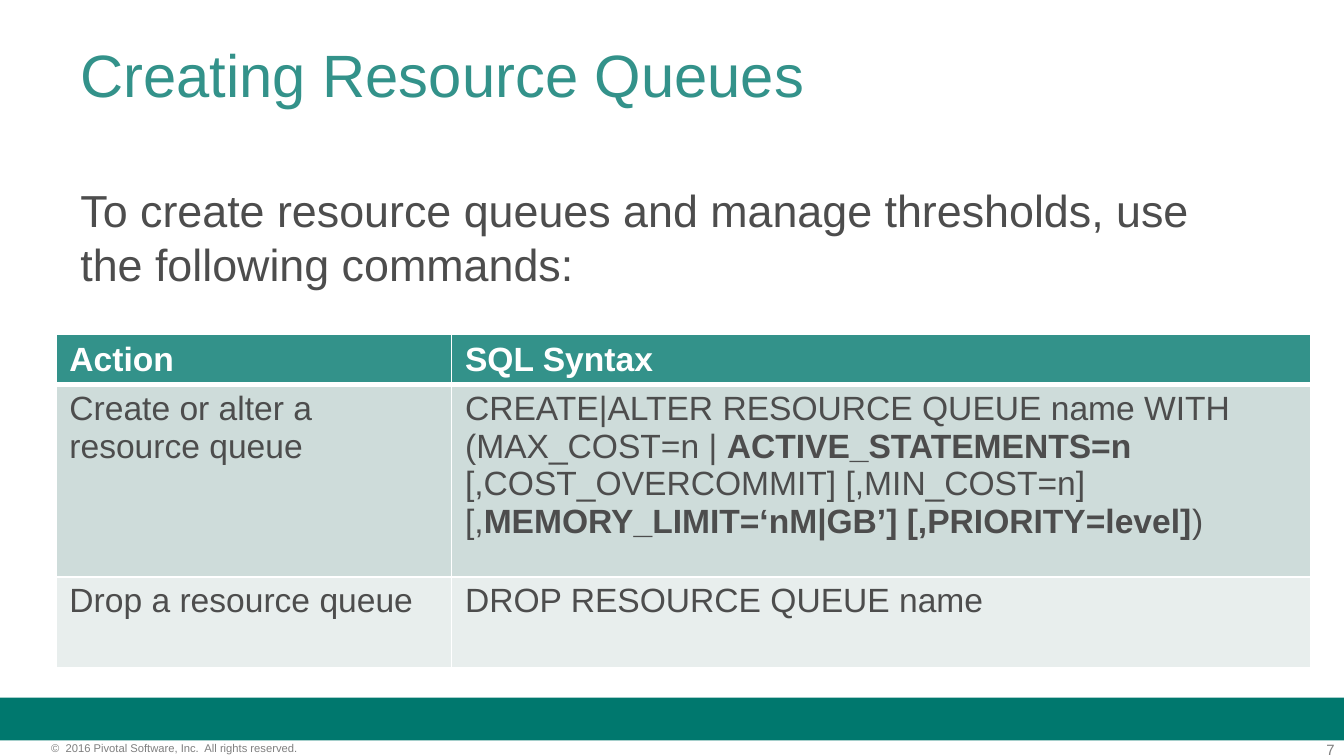
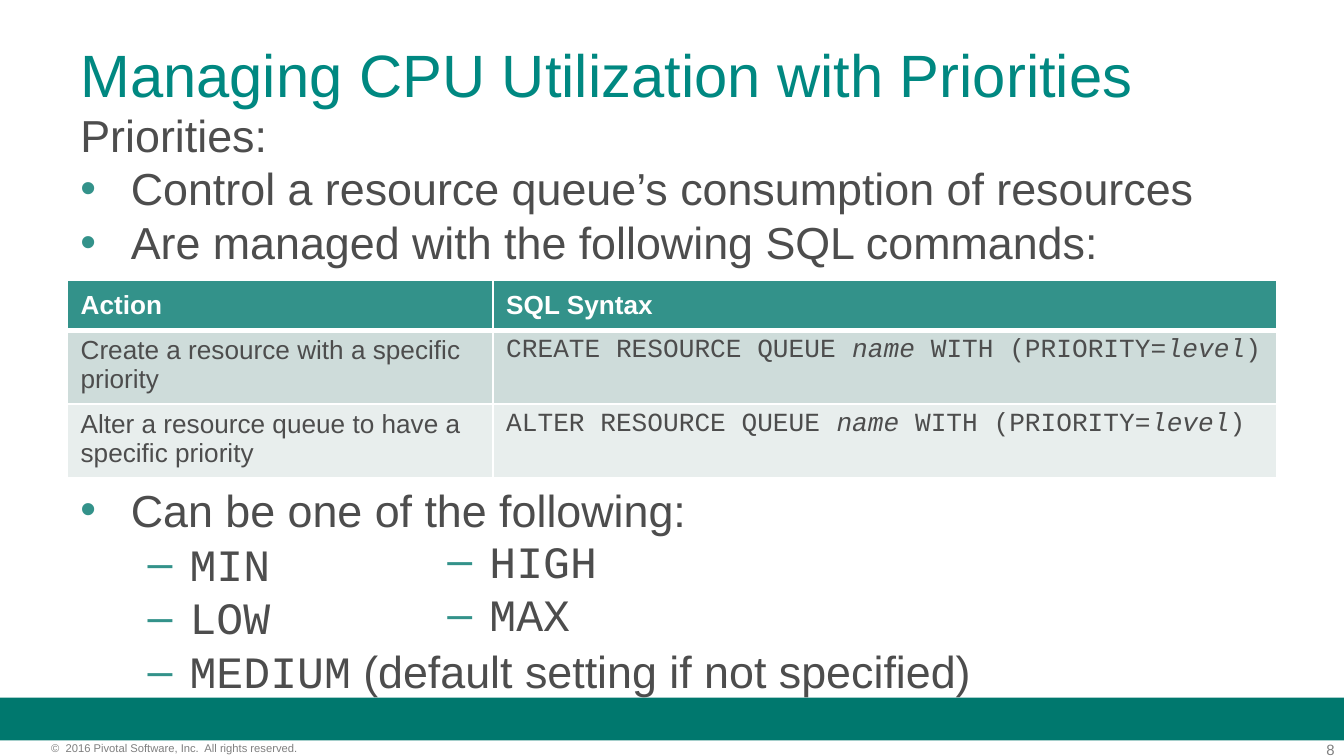
"""Builds two slides on resource queues and their priorities."""
import pptx
import pptx.dml.color
import pptx.enum.shapes
import pptx.enum.text
import pptx.oxml
import pptx.oxml.ns
import pptx.util

Pt = pptx.util.Pt
PP = pptx.enum.text.PP_ALIGN
ANCHOR = pptx.enum.text.MSO_ANCHOR
COLORS = {
    "teal": "33928A", "bright": "008881", "band": "00786E", "text": "4D4D4D",
    "grey": "7F7F7F", "white": "FFFFFF", "row1": "CEDCDA", "row2": "E8EEED",
}
SANS, MONO = "Arial", "Courier New"
BULLET = {"char": "•", "left": 27, "hang": 27}
DASH = {"char": "–", "left": 58.5, "hang": 22.5}


def rgb(name):
    return pptx.dml.color.RGBColor.from_string(COLORS[name])


def add_run(p, text, size=24, font=SANS, color="text", bold=False, italic=False):
    r = p.add_run()
    r.text = text
    f = r.font
    f.size, f.name, f.bold, f.italic = Pt(size), font, bold, italic
    f.color.rgb = rgb(color)


def add_runs(p, content, **fmt):
    parts = [(content, {})] if isinstance(content, str) else content
    for text, extra in parts:
        add_run(p, text, **{**fmt, **extra})


def set_bullet(p, char, left, hang):
    ns = pptx.oxml.ns.nsdecls("a")
    pPr = p._p.get_or_add_pPr()
    pPr.set("marL", str(Pt(left)))
    pPr.set("indent", str(-Pt(hang)))
    for xml in (f'<a:buClr {ns}><a:srgbClr val="{COLORS["teal"]}"/></a:buClr>',
                f'<a:buFont {ns} typeface="{SANS}"/>',
                f'<a:buChar {ns} char="{char}"/>'):
        pPr.append(pptx.oxml.parse_xml(xml))


def set_borders(cell, top=1, bottom=1):
    ns = pptx.oxml.ns.nsdecls("a")
    tcPr = cell._tc.get_or_add_tcPr()
    widths = {"lnL": 1, "lnR": 1, "lnT": top, "lnB": bottom}
    for i, (tag, width) in enumerate(widths.items()):
        tcPr.insert(i, pptx.oxml.parse_xml(
            f'<a:{tag} {ns} w="{Pt(width)}"><a:solidFill>'
            f'<a:srgbClr val="{COLORS["white"]}"/></a:solidFill></a:{tag}>'))


class Deck:
    def __init__(self):
        self.prs = pptx.Presentation()
        self.prs.slide_width, self.prs.slide_height = Pt(720), Pt(405)
        self.s = None

    def slide(self, title, number, color="teal"):
        self.s = self.prs.slides.add_slide(self.prs.slide_layouts[6])
        self.band(0, 373.7, 720, 23)
        self.text([(str(number), None)], 673.2, 396.7, 41.8, 9.4, inset=(0, 0),
                  align=PP.RIGHT, size=8, color="grey")
        self.text([("©  2016 Pivotal Software, Inc.  All rights reserved.", None)],
                  27.4, 397.4, 179.3, 7.2, inset=(0, 0), size=6, color="grey")
        self.text([(title, None)], 36, 16.5, 648, 67.5, size=32, color=color)

    def band(self, x, y, w, h):
        sp = self.s.shapes.add_shape(pptx.enum.shapes.MSO_SHAPE.RECTANGLE,
                                     Pt(x), Pt(y), Pt(w), Pt(h))
        sp.shadow.inherit = False
        sp.fill.solid()
        sp.fill.fore_color.rgb = rgb("band")
        sp.line.fill.background()

    def text(self, paras, x, y, w, h, inset=(7.2, 3.6), align=PP.LEFT, **fmt):
        tf = self.s.shapes.add_textbox(Pt(x), Pt(y), Pt(w), Pt(h)).text_frame
        tf.word_wrap = True
        tf.margin_left = tf.margin_right = Pt(inset[0])
        tf.margin_top = tf.margin_bottom = Pt(inset[1])
        for i, (content, bullet) in enumerate(paras):
            p = tf.add_paragraph() if i else tf.paragraphs[0]
            p.alignment, p.line_spacing = align, 1.0
            if bullet:
                set_bullet(p, **bullet)
            add_runs(p, content, **fmt)

    def table(self, rows, x, y, widths, heights, size):
        tbl = self.s.shapes.add_table(len(rows), len(widths), Pt(x), Pt(y),
                                      Pt(sum(widths)), Pt(sum(heights))).table
        for col, w in zip(tbl.columns, widths):
            col.width = Pt(w)
        for i, (row, h) in enumerate(zip(rows, heights)):
            tbl.rows[i].height = Pt(h)
            head = i == 0
            for j, content in enumerate(row):
                cell = tbl.cell(i, j)
                cell.margin_left = cell.margin_right = Pt(7.2)
                cell.margin_top = cell.margin_bottom = Pt(2.7)
                cell.vertical_anchor = ANCHOR.MIDDLE if head else ANCHOR.TOP
                cell.fill.solid()
                cell.fill.fore_color.rgb = rgb(("teal", "row1", "row2")[i])
                set_borders(cell, top=3 if i == 1 else 1, bottom=3 if head else 1)
                add_runs(cell.text_frame.paragraphs[0], content, size=size,
                         color="white" if head else "text", bold=head)


def priority_syntax(verb):
    mono, slanted = {"font": MONO}, {"font": MONO, "italic": True}
    return [(f"{verb} RESOURCE QUEUE ", mono), ("name", slanted),
            (" WITH (PRIORITY=", mono), ("level", slanted), (")", mono)]


def main():
    header = ("Action", "SQL Syntax")
    bold, mono = {"bold": True}, {"font": MONO}
    d = Deck()

    d.slide("Creating Resource Queues", 7)
    d.text([("To create resource queues and manage thresholds, "
             "use the following commands:", None)], 36, 94.5, 640, 267)
    create_syntax = [
        ("CREATE|ALTER RESOURCE QUEUE name WITH (MAX_COST=n | ", {}),
        ("ACTIVE_STATEMENTS=n", bold),
        (" [,COST_OVERCOMMIT] [,MIN_COST=n] [,", {}),
        ("MEMORY_LIMIT=‘nM|GB’] [,PRIORITY=level]", bold),
        (")", {}),
    ]
    d.table([header,
             ("Create or alter a resource queue", create_syntax),
             ("Drop a resource queue", "DROP RESOURCE QUEUE name")],
            30, 179, (212, 460), (27.2, 103, 48.8), 18)

    d.slide("Managing CPU Utilization with Priorities", 8, color="bright")
    d.text([("Priorities:", None),
            ("Control a resource queue’s consumption of resources", BULLET),
            ("Are managed with the following SQL commands:", BULLET)],
           36, 54, 648, 95)
    d.text([("Can be one of the following:", BULLET),
            ([("MIN", mono)], DASH),
            ([("LOW", mono)], DASH),
            ([("MEDIUM", mono), (" (default setting if not specified)", {})], DASH)],
           36, 255, 648, 118)
    d.table([header,
             ("Create a resource with a specific priority", priority_syntax("CREATE")),
             ("Alter a resource queue to have a specific priority", priority_syntax("ALTER"))],
            36, 150, (228, 420), (27.2, 39.4, 39.4), 14)
    d.text([("HIGH", DASH), ("MAX", DASH)], 196.6, 282.2, 246, 80.6, font=MONO)

    d.prs.save("out.pptx")


if __name__ == "__main__":
    main()
